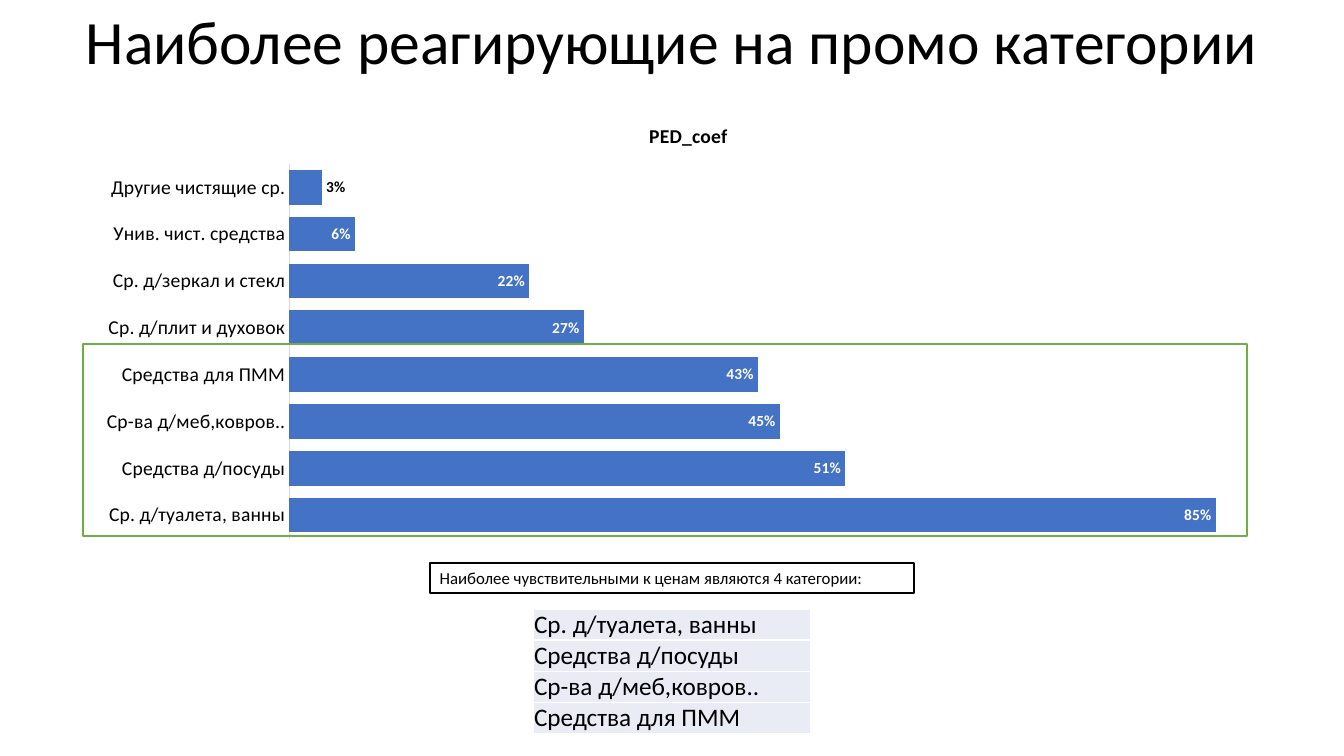
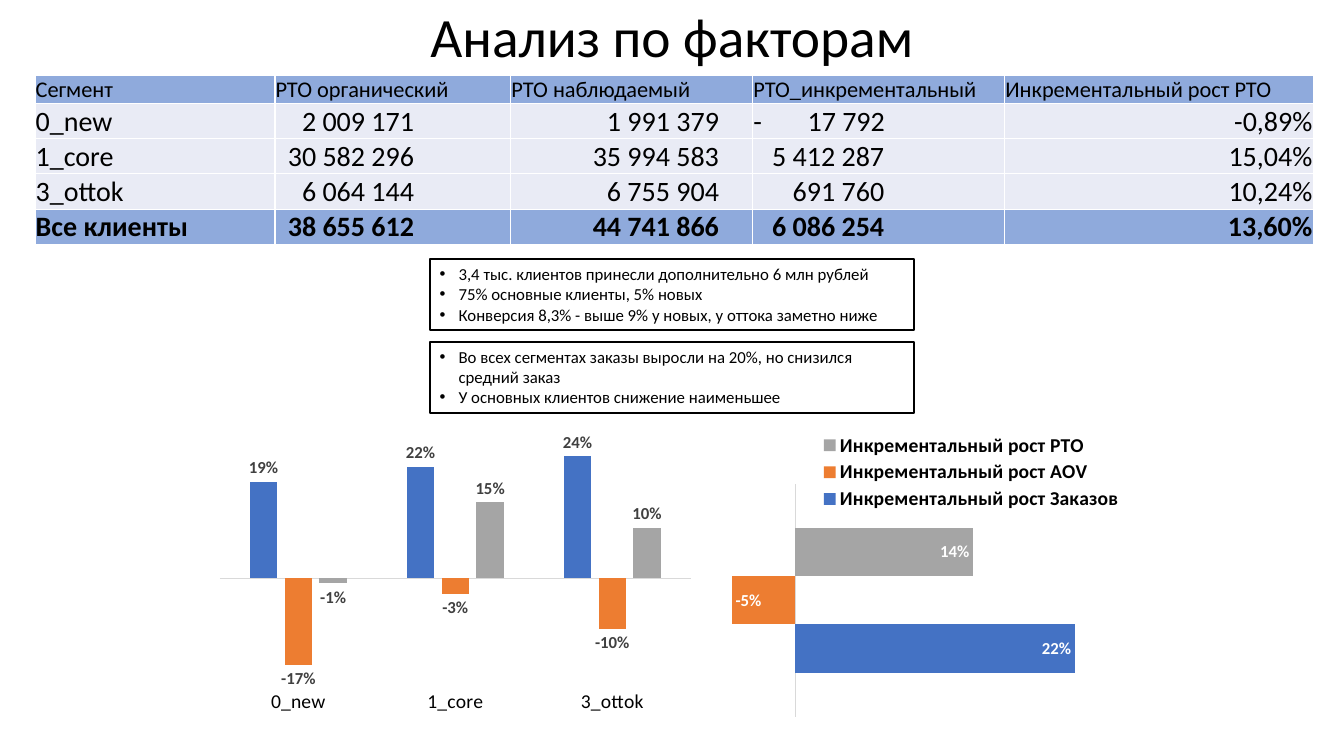
from lxml.etree import SubElement
from pptx import Presentation
from pptx.chart.data import CategoryChartData
from pptx.dml.color import RGBColor
from pptx.enum.chart import (XL_CHART_TYPE, XL_LABEL_POSITION, XL_LEGEND_POSITION,
                             XL_TICK_LABEL_POSITION, XL_TICK_MARK)
from pptx.enum.shapes import MSO_SHAPE
from pptx.enum.text import MSO_ANCHOR, MSO_AUTO_SIZE, PP_ALIGN
from pptx.oxml import parse_xml
from pptx.oxml.ns import nsdecls, qn
from pptx.util import Pt

# Shared look
FONT = "Calibri"
BLACK, WHITE, DARK_GREY, RULE_GREY = "000000", "FFFFFF", "404040", "D9D9D9"
BLUE, ORANGE, GREY, GREEN = "4472C4", "ED7D31", "A5A5A5", "70AD47"
HEADER_FILL, BODY_FILL = "8FAADC", "E9EBF5"
PAGE_WIDTH, PAGE_HEIGHT = 960, 540
NOTE_LEFT, NOTE_WIDTH = 307, 346

# Content
SENSITIVE = ["Ср. д/туалета, ванны", "Средства д/посуды",
             "Ср-ва д/меб,ковров..", "Средства для ПММ"]
OTHER = ["Ср. д/плит и духовок", "Ср. д/зеркал и стекл",
         "Унив. чист. средства", "Другие чистящие ср."]
ELASTICITY = [0.85, 0.51, 0.45, 0.43, 0.27, 0.22, 0.06, 0.03]
SEGMENT_ROWS = [
    ["Сегмент", "РТО органический", "РТО наблюдаемый", "РТО_инкрементальный",
     "Инкрементальный рост РТО"],
    ["0_new", "2 009 171", "1 991 379", "-\t17 792", "-0,89%"],
    ["1_core", "30 582 296", "35 994 583", "5 412 287", "15,04%"],
    ["3_ottok", "6 064 144", "6 755 904", "691 760", "10,24%"],
    ["Все клиенты", "38 655 612", "44 741 866", "6 086 254", "13,60%"],
]
SEGMENT_WIDTHS = [171.4, 168.5, 172.8, 180, 220.3]
NUMBER_MARGINS = [0.5, 69, 24, 86, 0.5]
# name, colour, growth by segment, total growth
FACTORS = [
    ("Инкрементальный рост Заказов", BLUE, [0.19, 0.22, 0.24], 0.22),
    ("Инкрементальный рост AOV", ORANGE, [-0.17, -0.03, -0.1], -0.05),
    ("Инкрементальный рост РТО", GREY, [-0.01, 0.15, 0.1], 0.14),
]


def rgb(color):
    return RGBColor.from_string(color)


def set_font(font, size, color=BLACK, bold=False):
    font.name = FONT
    font.size = Pt(size)
    font.bold = bold
    font.color.rgb = rgb(color)


def write_text(frame, text, size, align=PP_ALIGN.LEFT, bold=False):
    frame.text = text
    for para in frame.paragraphs:
        para.alignment = align
        for span in para.runs:
            set_font(span.font, size, bold=bold)


def add_title(page, text, top, height, size):
    box = page.shapes.add_textbox(0, Pt(top), Pt(PAGE_WIDTH), Pt(height))
    frame = box.text_frame
    frame.word_wrap = True
    frame.vertical_anchor = MSO_ANCHOR.MIDDLE
    write_text(frame, text, size, PP_ALIGN.CENTER)
    frame.paragraphs[0].line_spacing = 0.9


def add_outline(page, left, top, width, height, color):
    box = page.shapes.add_shape(MSO_SHAPE.RECTANGLE, Pt(left), Pt(top), Pt(width), Pt(height))
    box.shadow.inherit = False
    box.fill.background()
    box.line.color.rgb = rgb(color)
    box.line.width = Pt(1.5)
    return box


def add_note(page, top, height, lines, bulleted=True):
    frame = add_outline(page, NOTE_LEFT, top, NOTE_WIDTH, height, BLACK).text_frame
    frame.word_wrap = True
    frame.auto_size = MSO_AUTO_SIZE.SHAPE_TO_FIT_TEXT
    frame.vertical_anchor = MSO_ANCHOR.TOP
    write_text(frame, "\n".join(lines), 12)
    if bulleted:
        for para in frame.paragraphs:
            props = para._p.get_or_add_pPr()
            props.set("marL", str(Pt(13.5)))
            props.set("indent", str(Pt(-13.5)))
            SubElement(props, qn("a:buFont")).set("typeface", "Arial")
            SubElement(props, qn("a:buChar")).set("char", "•")


# Tables
def add_grid(page, left, top, widths, heights):
    frame = page.shapes.add_table(len(heights), len(widths), Pt(left), Pt(top),
                                  Pt(sum(widths)), Pt(sum(heights)))
    for column, width in zip(frame.table.columns, widths):
        column.width = Pt(width)
    for row, height in zip(frame.table.rows, heights):
        row.height = Pt(height)
    return frame.table


def fill_cell(cell, text, size, fill, align=PP_ALIGN.LEFT, bold=False, right=0.5):
    cell.margin_left, cell.margin_right = Pt(0.5), Pt(right)
    cell.margin_top, cell.margin_bottom = Pt(0.5), 0
    cell.vertical_anchor = MSO_ANCHOR.BOTTOM
    write_text(cell.text_frame, text, size, align, bold)
    props = cell._tc.get_or_add_tcPr()
    for side in "LRTB":
        props.append(parse_xml(
            f'<a:ln{side} {nsdecls("a")} w="{Pt(1)}"><a:solidFill>'
            f'<a:srgbClr val="{WHITE}"/></a:solidFill></a:ln{side}>'))
    cell.fill.solid()
    cell.fill.fore_color.rgb = rgb(fill)


def add_right_tab(para, position):
    tabs = SubElement(para._p.get_or_add_pPr(), qn("a:tabLst"))
    tab = SubElement(tabs, qn("a:tab"))
    tab.set("pos", str(Pt(position)))
    tab.set("algn", "r")


def add_segment_table(page):
    table = add_grid(page, 25, 54, SEGMENT_WIDTHS, [19.8] + [25.2] * 4)
    last = len(SEGMENT_ROWS) - 1
    for r, values in enumerate(SEGMENT_ROWS):
        for c, text in enumerate(values):
            cell = table.cell(r, c)
            fill = HEADER_FILL if r in (0, last) else BODY_FILL
            size = 20 if r else 16
            if r == 0 or c == 0 or "\t" in text:
                fill_cell(cell, text, size, fill, bold=r == last)
            else:
                fill_cell(cell, text, size, fill, PP_ALIGN.RIGHT, r == last, NUMBER_MARGINS[c])
            if "\t" in text:
                add_right_tab(cell.text_frame.paragraphs[0],
                              SEGMENT_WIDTHS[c] - NUMBER_MARGINS[c])


# Charts
def add_bars(page, kind, place, categories, series, gap, overlap=0):
    """series: (name, colour, values) for each group of bars."""
    data = CategoryChartData(number_format="0%")
    data.categories = categories
    for name, _, values in series:
        data.add_series(name, values)
    chart = page.shapes.add_chart(kind, *map(Pt, place), data).chart
    set_font(chart.font, 10)
    chart.has_title = chart.has_legend = False
    plot = chart.plots[0]
    plot.gap_width, plot.overlap = gap, overlap
    plot.vary_by_categories = False
    for bars, (_, color, _) in zip(plot.series, series):
        bars.format.fill.solid()
        bars.format.fill.fore_color.rgb = rgb(color)
    axis = chart.category_axis
    axis.major_tick_mark = axis.minor_tick_mark = XL_TICK_MARK.NONE
    axis.format.line.color.rgb = rgb(RULE_GREY)
    axis.format.line.width = Pt(0.75)
    set_font(axis.tick_labels.font, 14)
    chart.value_axis.visible = False
    chart.value_axis.has_major_gridlines = False
    return chart


def label_bars(chart, size, color, position):
    for bars in chart.plots[0].series:
        labels = bars.data_labels
        labels.show_value = True
        labels.number_format, labels.number_format_is_linked = "0%", False
        labels.position = position
        set_font(labels.font, size, color, True)


def set_range(chart, low, high):
    chart.value_axis.minimum_scale, chart.value_axis.maximum_scale = low, high


def place_part(part, index, x, y, w, h, inner=False):
    """Give a plot area or legend a fixed place, in fractions of the chart."""
    for old in part.findall(qn("c:layout")):
        part.remove(old)
    target = '<c:layoutTarget val="inner"/>' if inner else ""
    sizes = "".join(f'<c:{tag} val="{value}"/>' for tag, value in zip("xywh", (x, y, w, h)))
    part.insert(index, parse_xml(
        f'<c:layout {nsdecls("c")}><c:manualLayout>{target}<c:xMode val="edge"/>'
        f'<c:yMode val="edge"/>{sizes}</c:manualLayout></c:layout>'))


def add_elasticity_chart(page):
    chart = add_bars(page, XL_CHART_TYPE.BAR_CLUSTERED, (59, 75, 865.5, 316),
                     SENSITIVE + OTHER, [("PED_coef", BLUE, ELASTICITY)], 35)
    chart.has_title = True
    write_text(chart.chart_title.text_frame, "PED_coef", 14, PP_ALIGN.CENTER, True)
    label_bars(chart, 11, WHITE, XL_LABEL_POSITION.INSIDE_END)
    # The shortest bar carries its label outside
    label = chart.plots[0].series[0].points[len(ELASTICITY) - 1].data_label
    set_font(label.font, 11, BLACK, True)
    label.position = XL_LABEL_POSITION.OUTSIDE_END


def add_segment_chart(page):
    chart = add_bars(page, XL_CHART_TYPE.COLUMN_CLUSTERED, (150.5, 300, 659.5, 216),
                     [row[0] for row in SEGMENT_ROWS[1:-1]],
                     [(name, color, values) for name, color, values, _ in FACTORS], 219, -27)
    label_bars(chart, 12, DARK_GREY, XL_LABEL_POSITION.OUTSIDE_END)
    chart.category_axis.tick_label_position = XL_TICK_LABEL_POSITION.LOW
    set_range(chart, -0.2, 0.3)
    place_part(chart._chartSpace.chart.plotArea, 0, 0.01, 0.02, 0.51, 0.84, inner=True)


def add_total_chart(page):
    chart = add_bars(page, XL_CHART_TYPE.BAR_CLUSTERED, (467, 307.5, 338.5, 213), ["1"],
                     [(name, color, [total]) for name, color, _, total in FACTORS], 182)
    label_bars(chart, 12, WHITE, XL_LABEL_POSITION.INSIDE_END)
    chart.category_axis.tick_label_position = XL_TICK_LABEL_POSITION.NONE
    set_range(chart, -0.1, 0.25)
    place_part(chart._chartSpace.chart.plotArea, 0, 0.03, 0.18, 0.94, 0.78, inner=True)
    chart.has_legend = True
    chart.legend.position = XL_LEGEND_POSITION.RIGHT
    chart.legend.include_in_layout = False
    set_font(chart.legend.font, 14, bold=True)
    place_part(chart.legend._element, 1, 0.34, 0, 0.66, 0.28)


# Pages
def build_categories(page):
    add_title(page, "Наиболее реагирующие на промо категории", 0, 64, 44)
    add_note(page, 402, 21.8, ["Наиболее чувствительными к ценам являются 4 категории:"], False)
    add_elasticity_chart(page)
    table = add_grid(page, 381, 435, [198], [22.2] * len(SENSITIVE))
    for row, name in enumerate(SENSITIVE):
        fill_cell(table.cell(row, 0), name, 18, BODY_FILL)
    add_outline(page, 59, 246, 832, 137, GREEN)


def build_factors(page):
    add_title(page, "Анализ по факторам", 2, 52, 39.6)
    add_segment_table(page)
    add_segment_chart(page)
    add_total_chart(page)
    add_note(page, 185, 51, ["3,4 тыс. клиентов принесли дополнительно 6 млн рублей",
                             "75% основные клиенты, 5% новых",
                             "Конверсия 8,3% - выше 9% у новых, у оттока заметно ниже"])
    add_note(page, 244, 51, ["Во всех сегментах заказы выросли на 20%, но снизился средний заказ",
                             "У основных клиентов снижение наименьшее"])


def main():
    deck = Presentation()
    deck.slide_width, deck.slide_height = Pt(PAGE_WIDTH), Pt(PAGE_HEIGHT)
    for build in (build_categories, build_factors):
        build(deck.slides.add_slide(deck.slide_layouts[6]))
    deck.save("out.pptx")


if __name__ == "__main__":
    main()
